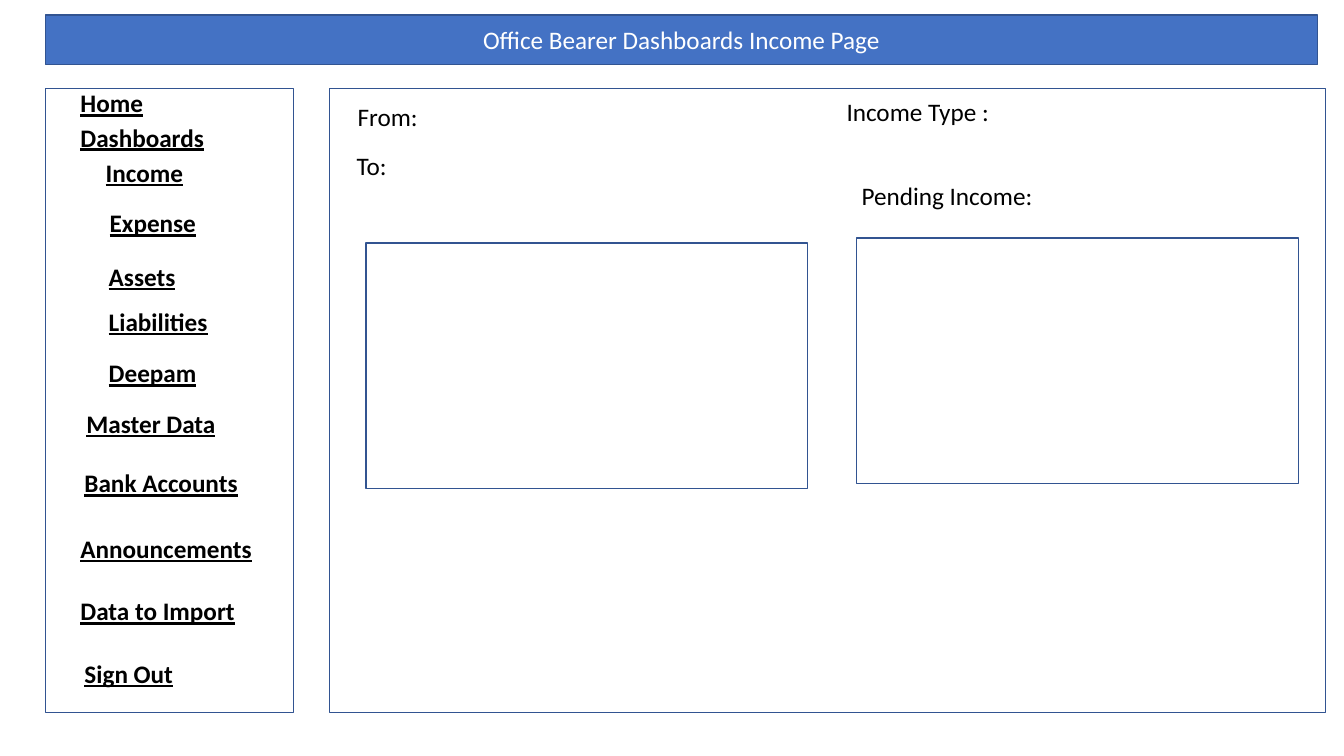
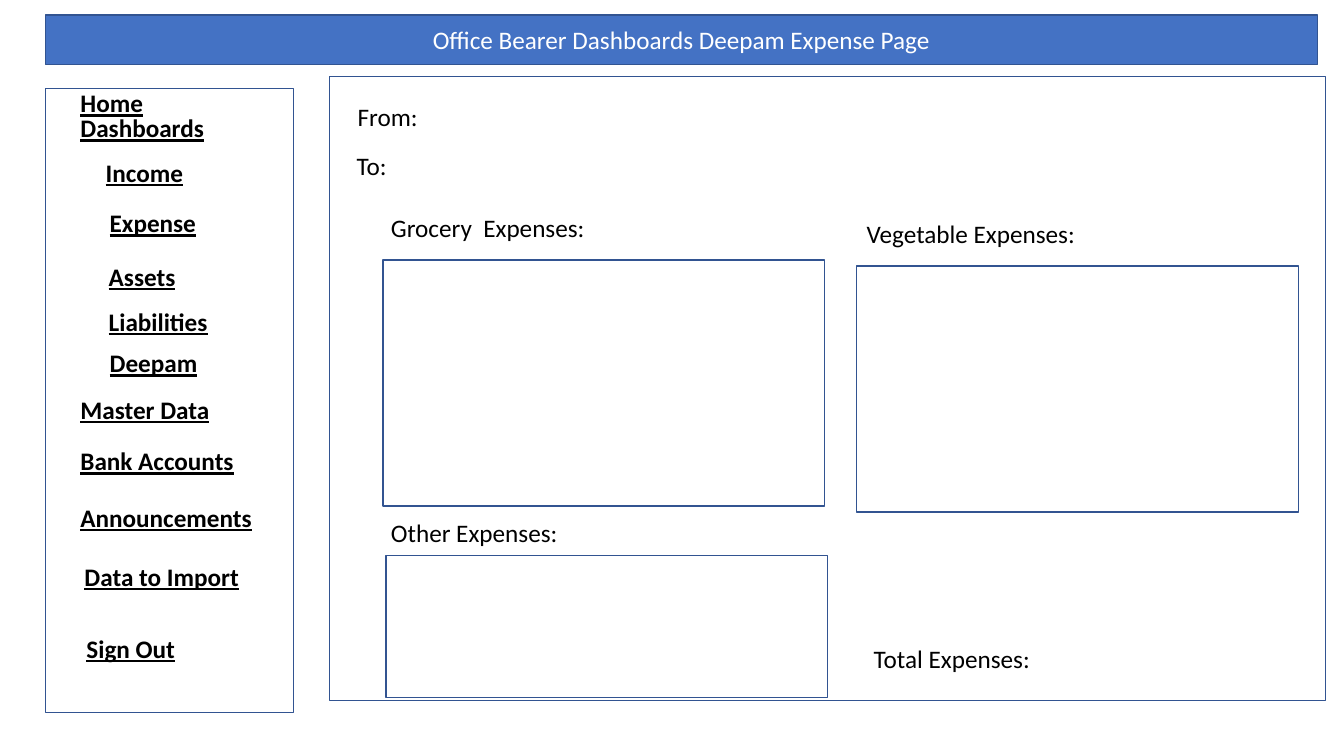
from pptx import Presentation
from pptx.dml.color import RGBColor
from pptx.enum.shapes import MSO_SHAPE
from pptx.enum.text import MSO_ANCHOR, MSO_AUTO_SIZE, PP_ALIGN
from pptx.util import Pt

RECTANGLE = MSO_SHAPE.RECTANGLE
MIDDLE = MSO_ANCHOR.MIDDLE
NO_AUTOFIT = MSO_AUTO_SIZE.NONE
CENTER = PP_ALIGN.CENTER

FONT = "Calibri"
TEXT_SIZE = 18
BLUE, OUTLINE, WHITE, BLACK = "4472C4", "325491", "FFFFFF", "000000"

TITLE_ONLY_LAYOUT = 5
TITLE_BAND = (32.4, 10.8, 908.6, 35.3)
SIDEBAR = (32.4, 63.4, 177.1, 445.7)
PANEL_LEFT, PANEL_WIDTH, PANEL_HEIGHT = 235.4, 711.4, 445.7
BOX_WIDTH, BOX_HEIGHT = 315.4, 175.7
LABEL_WIDTH, LABEL_HEIGHT = 232.6, 29.1
MENU_WIDTH = 177.1

# Label, left and top of each entry
SHARED_MENU = [
    ("Home", 50.4, 59),
    ("Income", 68.4, 108.7),
    ("Expense", 71.3, 144.7),
    ("Assets", 70.6, 182.9),
    ("Liabilities", 70.6, 215.3),
]
SHARED_FIELDS = [("From:", 248.4, 69.1), ("To:", 247.7, 103.7)]

PAGES = [
    {
        "title": "Office Bearer Dashboards Income Page",
        "panel_top": 63.4,
        "menu": [
            ("Dashboards", 50.4, 83.5),
            ("Deepam", 70.6, 252),
            ("Master Data", 54.7, 288),
            ("Bank Accounts", 53.3, 330.5),
            ("Announcements", 50.4, 377.3),
            ("Data to Import", 50.4, 421.9),
            ("Sign Out", 53.3, 466.6),
        ],
        "fields": [
            ("Income Type :", 597.6, 65.5),
            ("Pending Income:", 608.4, 125.3),
        ],
        "boxes": [(261.4, 173.5, BOX_HEIGHT), (612, 169.9, BOX_HEIGHT)],
    },
    {
        "title": "Office Bearer Dashboards Deepam Expense Page",
        "panel_top": 54.7,
        "menu": [
            ("Dashboards", 50.4, 77),
            ("Deepam", 71.3, 244.8),
            ("Master Data", 50.4, 277.9),
            ("Bank Accounts", 50.4, 314.6),
            ("Announcements", 50.4, 355),
            ("Data to Import", 53.3, 397.4),
            ("Sign Out", 54.7, 448.6),
        ],
        "fields": [
            ("Grocery  Expenses:", 272.2, 148.3),
            ("Vegetable Expenses:", 612, 152.6),
            ("Other Expenses:", 272.2, 365.8),
            ("Total Expenses:", 617, 455.8),
        ],
        "boxes": [
            (273.6, 185.8, BOX_HEIGHT),
            (612, 190.1, BOX_HEIGHT),
            (275.8, 396.7, 101.5),
        ],
    },
]


def color(hex_code):
    return RGBColor.from_string(hex_code)


def paint(shape, fill):
    """Give a shape its fill and the common outline."""
    shape.fill.solid()
    shape.fill.fore_color.rgb = color(fill)
    shape.line.color.rgb = color(OUTLINE)
    shape.line.width = Pt(1)


def write(shape, text, text_color, menu_style=False):
    """Set one line of text; menu entries are bold and underlined."""
    shape.text_frame.text = text
    font = shape.text_frame.paragraphs[0].runs[0].font
    font.name = FONT
    font.size = Pt(TEXT_SIZE)
    font.color.rgb = color(text_color)
    if menu_style:
        font.bold = True
        font.underline = True


def add_title(slide, text):
    band = slide.shapes.title
    band.left, band.top, band.width, band.height = map(Pt, TITLE_BAND)
    paint(band, BLUE)
    write(band, text, WHITE)
    frame = band.text_frame
    frame.auto_size = NO_AUTOFIT
    frame.vertical_anchor = MIDDLE
    frame.paragraphs[0].alignment = CENTER


def add_frame(slide, left, top, width, height):
    """Add an empty white rectangle with an outline."""
    frame = slide.shapes.add_shape(RECTANGLE, Pt(left), Pt(top), Pt(width), Pt(height))
    frame.shadow.inherit = False
    paint(frame, WHITE)


def add_label(slide, text, left, top, width=LABEL_WIDTH, menu_style=False):
    label = slide.shapes.add_textbox(Pt(left), Pt(top), Pt(width), Pt(LABEL_HEIGHT))
    label.text_frame.word_wrap = True
    write(label, text, BLACK, menu_style)


def add_page(prs, page):
    slide = prs.slides.add_slide(prs.slide_layouts[TITLE_ONLY_LAYOUT])
    add_title(slide, page["title"])
    add_frame(slide, *SIDEBAR)
    add_frame(slide, PANEL_LEFT, page["panel_top"], PANEL_WIDTH, PANEL_HEIGHT)
    for left, top, height in page["boxes"]:
        add_frame(slide, left, top, BOX_WIDTH, height)
    menu = sorted(SHARED_MENU + page["menu"], key=lambda entry: entry[2])
    for text, left, top in menu:
        add_label(slide, text, left, top, MENU_WIDTH, menu_style=True)
    for text, left, top in SHARED_FIELDS + page["fields"]:
        add_label(slide, text, left, top)


def main():
    prs = Presentation()
    prs.slide_width, prs.slide_height = Pt(960), Pt(540)
    for page in PAGES:
        add_page(prs, page)
    prs.save("out.pptx")


if __name__ == "__main__":
    main()
